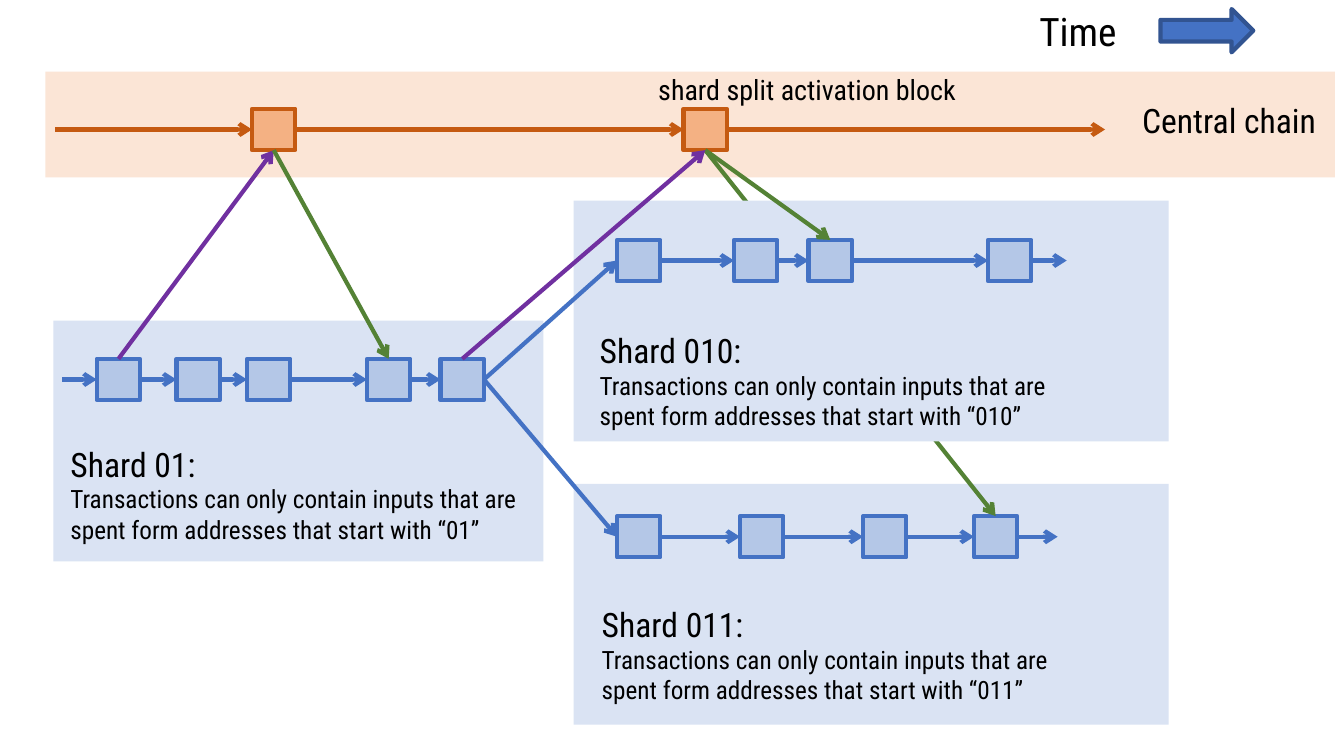
from lxml import etree
from pptx import Presentation
from pptx.dml.color import RGBColor
from pptx.enum.shapes import MSO_CONNECTOR, MSO_SHAPE
from pptx.oxml.ns import qn
from pptx.util import Inches, Pt

RECT, RIGHT_ARROW = MSO_SHAPE.RECTANGLE, MSO_SHAPE.RIGHT_ARROW
STRAIGHT = MSO_CONNECTOR.STRAIGHT
TOP, LEFT, BOTTOM, RIGHT = range(4)  # connection sites of a rectangle

BLACK = RGBColor(0x00, 0x00, 0x00)
BLUE = RGBColor(0x44, 0x72, 0xC4)
DARK_BLUE = RGBColor(0x32, 0x54, 0x91)
BLOCK_BLUE = RGBColor(0xB4, 0xC7, 0xE7)
PANEL_BLUE = RGBColor(0xDA, 0xE3, 0xF3)
ORANGE = RGBColor(0xC5, 0x5A, 0x11)
BLOCK_ORANGE = RGBColor(0xF4, 0xB1, 0x83)
PANEL_ORANGE = RGBColor(0xFB, 0xE5, 0xD6)
GREEN = RGBColor(0x54, 0x82, 0x35)
PURPLE = RGBColor(0x70, 0x30, 0xA0)

FONT = "Roboto Condensed"
BLOCK_W, BLOCK_H = 0.43, 0.41
PANEL_H, TEXT_W, TEXT_H = 2.39, 4.73, 1.11
RULE = ("Transactions can only contain inputs that are spent form "
        "addresses that start with “{}”")

# Content: block positions are left edges; a chain may start and end with a loose arrow
CENTRAL = dict(start=0.55, blocks=[2.5, 6.78], end=10.96, top=1.08)
SHARDS = {
    "01": dict(panel=(0.53, 3.18, 4.86), text=(0.6, 4.35),
               start=0.62, blocks=[0.96, 1.75, 2.45, 3.64, 4.37], end=None, top=3.56),
    "011": dict(panel=(5.69, 4.8, 5.9), text=(5.87, 5.94),
                start=None, blocks=[6.12, 7.34, 8.56, 9.66], end=10.49, top=5.12),
    "010": dict(panel=(5.69, 1.99, 5.9), text=(5.85, 3.22),
                start=None, blocks=[6.12, 7.28, 8.02, 9.8], end=10.58, top=2.38),
}
LABELS = [  # text, size, left, top, width, height
    ("Central chain", 24, 11.23, 0.94, 2.0, 0.5),
    ("shard split activation block", 20, 6.43, 0.67, 4.25, 0.44),
    ("Time", 28, 10.21, 0.02, 1.16, 0.57),
]
# Links between chains: (chain, block, site) at each end, colour
HIDDEN_LINK = (("central", 1, BOTTOM), ("011", 3, TOP), GREEN)  # runs behind shard 010
LINKS = [
    (("01", 0, TOP), ("central", 0, BOTTOM), PURPLE),
    (("central", 0, BOTTOM), ("01", 3, TOP), GREEN),
    (("central", 1, BOTTOM), ("010", 2, TOP), GREEN),
    (("01", 4, TOP), ("central", 1, BOTTOM), PURPLE),
    (("01", 4, RIGHT), ("010", 0, LEFT), BLUE),
    (("01", 4, RIGHT), ("011", 0, LEFT), BLUE),
]

prs = Presentation()
prs.slide_width, prs.slide_height = Inches(13.33), Inches(7.5)
shapes = prs.slides.add_slide(prs.slide_layouts[6]).shapes


def add_box(kind, left, top, width, height, fill, line=None):
    box = shapes.add_shape(kind, *map(Inches, (left, top, width, height)))
    box.shadow.inherit = False
    box.fill.solid()
    box.fill.fore_color.rgb = fill
    if line is None:
        box.line.fill.background()
    else:
        box.line.color.rgb = line
        box.line.width = Pt(3)
    return box


def add_text(lines, left, top, width, height):
    frame = shapes.add_textbox(*map(Inches, (left, top, width, height))).text_frame
    frame.word_wrap = True
    for i, (text, size) in enumerate(lines):
        paragraph = frame.add_paragraph() if i else frame.paragraphs[0]
        paragraph.text = text
        paragraph.font.name = FONT
        paragraph.font.size = Pt(size)
        paragraph.font.color.rgb = BLACK


def add_arrow(x1, y1, x2, y2, color):
    arrow = shapes.add_connector(STRAIGHT, *map(Inches, (x1, y1, x2, y2)))
    arrow.line.color.rgb = color
    arrow.line.width = Pt(3)
    etree.SubElement(arrow.line._get_or_add_ln(), qn("a:tailEnd"), type="arrow")
    etree.SubElement(arrow._element.spPr, qn("a:effectLst"))
    return arrow


def join(source, source_site, target, target_site, color):
    arrow = add_arrow(0, 0, 1, 1, color)
    arrow.begin_connect(source, source_site)
    arrow.end_connect(target, target_site)


def add_chain(chain, fill, color):
    lefts, top = chain["blocks"], chain["top"]
    middle = top + BLOCK_H / 2
    blocks = [add_box(RECT, left, top, BLOCK_W, BLOCK_H, fill, color) for left in lefts]
    for block, following in zip(blocks, blocks[1:]):
        join(block, RIGHT, following, LEFT, color)
    if chain["start"] is not None:
        add_arrow(chain["start"], middle, lefts[0], middle, color)
    if chain["end"] is not None:
        add_arrow(lefts[-1] + BLOCK_W, middle, chain["end"], middle, color)
    return blocks


def add_link(source, target, color):
    (chain1, block1, site1), (chain2, block2, site2) = source, target
    join(chains[chain1][block1], site1, chains[chain2][block2], site2, color)


# Central chain
add_box(RECT, 0.45, 0.71, 12.79, 1.05, PANEL_ORANGE)
chains = {"central": add_chain(CENTRAL, BLOCK_ORANGE, ORANGE)}

# Shards
for prefix, shard in SHARDS.items():
    if prefix == "010":
        add_link(*HIDDEN_LINK)
    add_box(RECT, *shard["panel"], PANEL_H, PANEL_BLUE)
    chains[prefix] = add_chain(shard, BLOCK_BLUE, BLUE)
    add_text([(f"Shard {prefix}:", 24), (RULE.format(prefix), 18)],
             *shard["text"], TEXT_W, TEXT_H)

# Links between chains
for link in LINKS:
    add_link(*link)

# Labels and time arrow
for text, size, *place in LABELS:
    add_text([(text, size)], *place)
add_box(RIGHT_ARROW, 11.51, 0.09, 0.92, 0.43, BLUE, DARK_BLUE)

prs.save("out.pptx")
